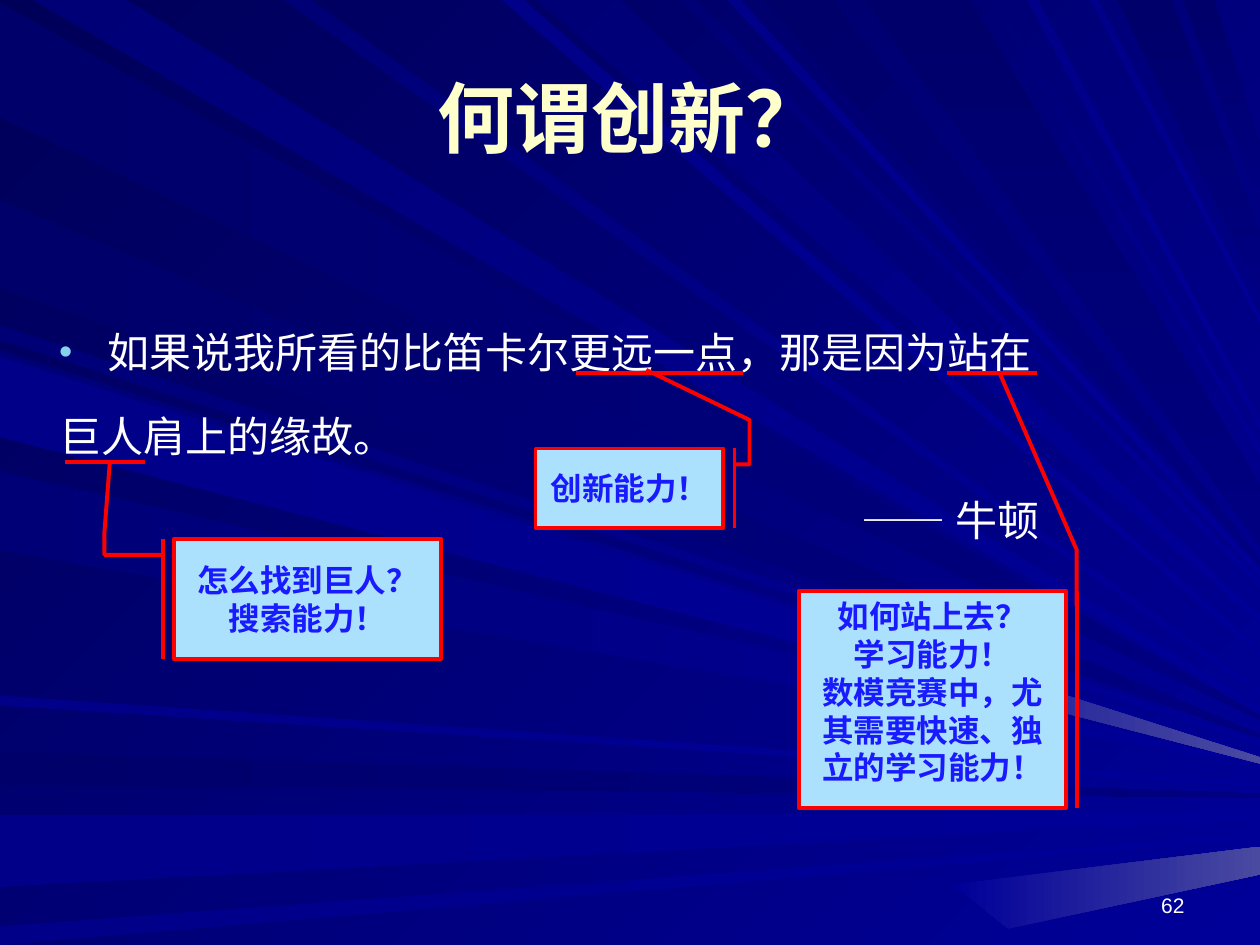
from pptx import Presentation
from pptx.dml.color import RGBColor
from pptx.enum.shapes import MSO_CONNECTOR, MSO_SHAPE
from pptx.enum.text import MSO_ANCHOR, PP_ALIGN
from pptx.oxml.ns import qn
from pptx.util import Pt
from lxml.etree import SubElement

PX = 9144  # EMU; 100 px to the inch
PAGE_WIDTH, PAGE_HEIGHT = 1000, 750
FONT = "Arial"

WHITE = RGBColor(0xFF, 0xFF, 0xFF)
CREAM = RGBColor(0xFF, 0xFF, 0xCC)
RED = RGBColor(0xFF, 0, 0)
SKY = RGBColor(0xAC, 0xE1, 0xFE)
BULLET_BLUE = RGBColor(0x86, 0xD1, 0xEC)
TEXT_BLUE = RGBColor(0x1A, 0x1A, 0xFF)
HAZE = RGBColor(0x4A, 0x4A, 0xA1)
NIGHT = RGBColor(0, 0, 0x58)
NAVY = RGBColor(0, 0, 0x80)
ROYAL = RGBColor(0, 0, 0x99)

# first and last colour of a ray
DARK = (RGBColor(0, 0, 0x6B), NAVY)
MIDDLE = (RGBColor(0, 0, 0x76), ROYAL)
LIGHT = (RGBColor(0, 0, 0x88), ROYAL)
GLOW = (ROYAL, HAZE)

# Each ray: start and stop on its first edge, height on the right edge, shade
LEFT_RAYS = [
    (2, 93, 568, DARK), (596, 623, 630, DARK), (647, 704, 646, LIGHT),
    (735, 750, 662, LIGHT), (258, 270, 588, MIDDLE), (159, 228, 583, DARK),
    (278, 342, 599, MIDDLE), (374, 437, 605, MIDDLE), (552, 560, 621, LIGHT),
    (283, 347, 602, LIGHT),
]
TOP_RAYS = [
    (26, 101, 561, MIDDLE), (398, 416, 516, LIGHT), (426, 492, 490, MIDDLE),
    (540, 552, 462, MIDDLE), (606, 661, 445, DARK), (225, 247, 548, MIDDLE),
    (577, 588, 453, LIGHT), (785, 792, 356, MIDDLE), (815, 824, 335, LIGHT),
    (865, 872, 252, LIGHT),
]
WIDE_RAYS = [(686, 770, 385, DARK), (887, 930, 185, DARK), (939, 964, 116, DARK)]
# rays, lie on the top edge, spread on the right edge, gradient angle
FANS = [(LEFT_RAYS, False, 3, 0), (TOP_RAYS, True, 4, 45), (WIDE_RAYS, True, 48, 90)]
GLINTS = [
    [(637, 485), (1000, 601), (1000, 606), (633, 511)],
    [(756, 702), (1000, 672), (1000, 694), (800, 737)],
]

# box, leader (bar y, bar x, elbow x, turn y, tip y, tip x), anchor, lines
CALLOUTS = [
    ((138, 428, 212, 95), (0.13, -0.04, -0.26, -0.06, -0.64, -0.24),
     MSO_ANCHOR.MIDDLE, ["怎么找到巨人？", "搜索能力！"]),
    ((634, 469, 212, 172), (0.07, 1.04, 1.04, -0.19, -1.01, 0.75),
     MSO_ANCHOR.TOP, ["如何站上去？", "学习能力！", "数模竞赛中，尤其需要快速、独立的学习能力！"]),
    ((425, 356, 149, 63), (0.2, 1.06, 1.14, -0.36, -0.99, 0.59),
     MSO_ANCHOR.MIDDLE, ["创新能力！"]),
]

# left, top, width
UNDERLINES = [(752, 296, 71), (52, 367, 63), (457, 296, 133)]

# text, left margin, first-line indent, bulleted
QUOTE = [
    ("如果说我所看的比笛卡尔更远一点，那是因为站在", 38, -38, True),
    ("巨人肩上的缘故。", 0, 0, False),
    ("—— 牛顿", 637, 0, False),
]


def emu(box):
    return [length * PX for length in box]


def place(shape, box):
    shape.left, shape.top, shape.width, shape.height = emu(box)


def add_span(para, text, size, color, bold=False):
    span = para.add_run()
    span.text = text
    span.font.name = FONT
    span.font.size = Pt(size)
    span.font.bold = bold
    span.font.color.rgb = color


def paragraphs(frame, count):
    """The first paragraph of the frame and as many new ones as needed."""
    return [frame.paragraphs[0]] + [frame.add_paragraph() for _ in range(count - 1)]


def paint(fill, shade, angle):
    fill.gradient()
    fill.gradient_angle = (360 - angle) % 360
    for stop, color in zip(fill.gradient_stops, shade):
        stop.color.rgb = color


def add_ray(group, corners, shade, angle):
    builder = group.shapes.build_freeform(*corners[0], scale=PX)
    builder.add_line_segments(corners[1:], close=True)
    ray = builder.convert_to_shape()
    ray.shadow.inherit = False
    ray.line.fill.background()
    paint(ray.fill, shade, angle)


def add_backdrop(page):
    paint(page.background.fill, (NIGHT, ROYAL), 45)
    group = page.shapes.add_group_shape()
    for rays, on_top, spread, angle in FANS:
        for start, stop, end, shade in rays:
            edge = [(stop, 0), (start, 0)] if on_top else [(0, start), (0, stop)]
            corners = edge + [(PAGE_WIDTH, end + spread), (PAGE_WIDTH, end)]
            add_ray(group, corners, shade, angle)
    for corners in GLINTS:
        add_ray(group, corners, GLOW, 0)
    page.shapes.title.element.addprevious(group.element)


def add_title(page, box):
    title = page.shapes.title
    place(title, box)
    title.text_frame.vertical_anchor = MSO_ANCHOR.MIDDLE
    para = title.text_frame.paragraphs[0]
    para.alignment = PP_ALIGN.CENTER
    add_span(para, "何谓创新？", 44, CREAM, bold=True)


def set_bullet(para, bulleted):
    properties = para._p.get_or_add_pPr()
    if not bulleted:
        SubElement(properties, qn("a:buNone"))
        return
    color = SubElement(properties, qn("a:buClr"))
    SubElement(color, qn("a:srgbClr"), val=str(BULLET_BLUE))
    SubElement(properties, qn("a:buSzPct"), val="90000")
    SubElement(properties, qn("a:buChar"), char="•")


def add_quote(page, box):
    body = page.placeholders[1]
    place(body, box)
    paras = paragraphs(body.text_frame, len(QUOTE))
    for index, (para, (text, margin, indent, bulleted)) in enumerate(zip(paras, QUOTE)):
        set_bullet(para, bulleted)
        properties = para._p.get_or_add_pPr()
        properties.set("marL", str(margin * PX))
        properties.set("indent", str(indent * PX))
        para.line_spacing = 1.5
        para.space_before = Pt(4.8 if index else 0)
        add_span(para, text, 24, WHITE)


def add_underline(page, left, top, width):
    line = page.shapes.add_connector(
        MSO_CONNECTOR.STRAIGHT, *emu((left, top, left + width, top)))
    line.line.color.rgb = RED
    line.line.width = Pt(2.25)
    SubElement(line.element.spPr, qn("a:effectLst"))


def add_callout(page, box, leader, anchor, lines):
    callout = page.shapes.add_shape(MSO_SHAPE.LINE_CALLOUT_3_BORDER_AND_ACCENT_BAR, *emu(box))
    callout.shadow.inherit = False
    bar_y, bar_x, elbow_x, turn_y, tip_y, tip_x = leader
    points = (bar_y, bar_x, bar_y, elbow_x, turn_y, elbow_x, tip_y, tip_x)
    for index, value in enumerate(points):
        callout.adjustments[index] = value
    callout.fill.solid()
    callout.fill.fore_color.rgb = SKY
    callout.line.color.rgb = RED
    callout.line.width = Pt(2.25)
    frame = callout.text_frame
    frame.word_wrap = True
    frame.vertical_anchor = anchor
    for para, text in zip(paragraphs(frame, len(lines)), lines):
        para.alignment = PP_ALIGN.CENTER
        add_span(para, text, 18, TEXT_BLUE, bold=True)


def add_page_number(page, box):
    frame = page.shapes.add_textbox(*emu(box)).text_frame
    frame.word_wrap = True
    frame.vertical_anchor = MSO_ANCHOR.BOTTOM
    frame.paragraphs[0].alignment = PP_ALIGN.RIGHT
    add_span(frame.paragraphs[0], "62", 12, WHITE)


def main():
    deck = Presentation()
    deck.slide_width, deck.slide_height = emu((PAGE_WIDTH, PAGE_HEIGHT))
    page = deck.slides.add_slide(deck.slide_layouts[1])
    add_backdrop(page)
    add_page_number(page, (717, 683, 233, 50))
    add_title(page, (50, 30, 900, 125))
    add_quote(page, (37, 234, 925, 377))
    for underline in UNDERLINES:
        add_underline(page, *underline)
    for callout in CALLOUTS:
        add_callout(page, *callout)
    deck.save("out.pptx")


if __name__ == "__main__":
    main()
